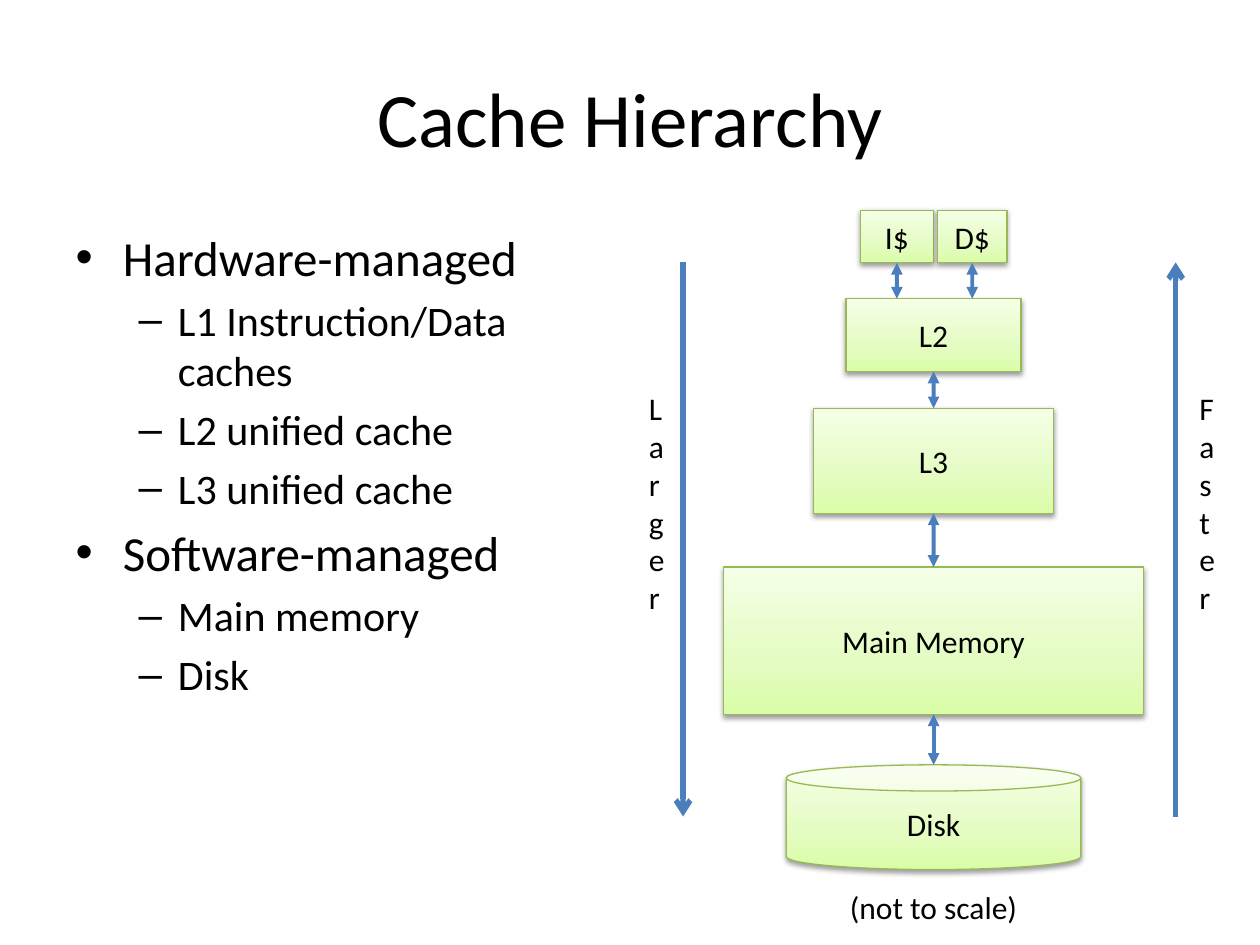
from copy import deepcopy

from lxml import etree
from pptx import Presentation
from pptx.dml.color import RGBColor
from pptx.enum import shapes, text
from pptx.oxml import ns
from pptx.util import Cm, Pt

# Content
TITLE = "Cache Hierarchy"
OUTLINE = [
    ("Hardware-managed", ["L1 Instruction/Data caches", "L2 unified cache", "L3 unified cache"]),
    ("Software-managed", ["Main memory", "Disk"]),
]
AXIS = 18.82  # centre line of the hierarchy, cm
RECT, CAN = shapes.MSO_SHAPE.RECTANGLE, shapes.MSO_SHAPE.CAN
# label: (outline, centre x, top, width, height), cm
LEVELS = {
    "I$": (RECT, 18.08, 4.24, 1.47, 1.06),
    "D$": (RECT, 19.6, 4.24, 1.4, 1.06),
    "L2": (RECT, AXIS, 6.02, 3.53, 1.47),
    "L3": (RECT, AXIS, 8.23, 4.85, 2.12),
    "Main Memory": (RECT, AXIS, 11.43, 8.46, 2.97),
    "Disk": (CAN, AXIS, 15.42, 5.94, 2.11),
}
LINKS = [("I$", "L2"), ("D$", "L2"), ("L2", "L3"), ("L3", "Main Memory"), ("Main Memory", "Disk")]
# label, label left, arrow x, end that carries the arrowhead
TRENDS = [("Larger", 12.83, 13.77, "tailEnd"), ("Faster", 23.93, 23.7, "headEnd")]
TREND_TOP, TREND_BOTTOM = 5.29, 16.46
NOTE = "(not to scale)"

# Style
FONT = "Calibri"
BLACK = RGBColor(0x00, 0x00, 0x00)
BLUE = RGBColor(0x4B, 0x7E, 0xBC)
GREEN = RGBColor(0x98, 0xB9, 0x55)
GRADIENT = [
    (0, RGBColor(0xDA, 0xFD, 0xA7)),
    (0.35, RGBColor(0xE4, 0xFC, 0xC2)),
    (1, RGBColor(0xF5, 0xFF, 0xE7)),
]


def place(part, left, top, width, height):
    part.left, part.top, part.width, part.height = map(Cm, (left, top, width, height))


def write(paragraph, words, size, align=None):
    run = paragraph.add_run()
    run.text = words
    run.font.name, run.font.size = FONT, Pt(size)
    run.font.color.rgb = BLACK
    if align is not None:
        paragraph.alignment = align


def add_child(parent, tag, **attributes):
    return etree.SubElement(parent, ns.qn(tag), attributes)


def style_level(level):
    fill = level.fill
    fill.gradient()
    fill.gradient_angle = 90
    first_stop = fill.gradient_stops[0]._gs
    first_stop.addnext(deepcopy(first_stop))
    for stop, (position, color) in zip(fill.gradient_stops, GRADIENT):
        stop.position, stop.color.rgb = position, color
    level.line.color.rgb, level.line.width = GREEN, Pt(0.75)

    level.shadow.inherit = False
    effects = level._element.spPr.find(ns.qn("a:effectLst"))
    shadow = add_child(effects, "a:outerShdw", blurRad=str(Pt(3.1)), dist=str(Pt(1.6)),
                       dir="5400000", rotWithShape="0")
    tint = add_child(shadow, "a:srgbClr", val=str(BLACK))
    add_child(tint, "a:alpha", val="38000")


def add_arrow(slide, x, top, bottom, width, heads):
    arrow = slide.shapes.add_connector(
        shapes.MSO_CONNECTOR.STRAIGHT, Cm(x), Cm(top), Cm(x), Cm(bottom))
    arrow.line.color.rgb, arrow.line.width = BLUE, Pt(width)
    for end, kind in heads:
        add_child(arrow.line._get_or_add_ln(), f"a:{end}", type=kind)
    add_child(arrow._element.spPr, "a:effectLst")
    return arrow


def add_label(slide, words, left, top, width, height, align=None):
    label = slide.shapes.add_textbox(Cm(left), Cm(top), Cm(width), Cm(height))
    label.text_frame.word_wrap = True
    label.text_frame.auto_size = text.MSO_AUTO_SIZE.SHAPE_TO_FIT_TEXT
    write(label.text_frame.paragraphs[0], words, 18, align)


def main():
    deck = Presentation()
    deck.slide_width, deck.slide_height = Cm(25.4), Cm(19.05)
    slide = deck.slides.add_slide(deck.slide_layouts[1])
    center = text.PP_ALIGN.CENTER

    # Title and outline
    title, body = slide.shapes.title, slide.placeholders[1]
    place(title, 1.27, 0.76, 22.86, 3.18)
    write(title.text_frame.paragraphs[0], TITLE, 44, center)
    place(body, 1.27, 4.45, 11.23, 12.57)
    rows = [(depth, words) for heading, points in OUTLINE
            for depth, words in [(0, heading)] + [(1, point) for point in points]]
    for index, (depth, words) in enumerate(rows):
        frame = body.text_frame
        paragraph = frame.add_paragraph() if index else frame.paragraphs[0]
        paragraph.level = depth
        write(paragraph, words, (28, 24)[depth])

    # Memory levels
    levels = {}
    for name, (outline, middle, top, width, height) in LEVELS.items():
        level = slide.shapes.add_shape(
            outline, Cm(middle - width / 2), Cm(top), Cm(width), Cm(height))
        style_level(level)
        level.text_frame.vertical_anchor = text.MSO_ANCHOR.MIDDLE
        write(level.text_frame.paragraphs[0], name, 18, center)
        levels[name] = level

    # Links between neighbouring levels
    for upper, lower in LINKS:
        _, x, top, _, height = LEVELS[upper]
        outline, lower_x, lower_top, _, _ = LEVELS[lower]
        link = add_arrow(slide, x, top + height, lower_top, 2.25,
                         [("headEnd", "triangle"), ("tailEnd", "triangle")])
        link.begin_connect(levels[upper], 2)
        if outline == RECT and x == lower_x:
            link.end_connect(levels[lower], 0)

    # Scale note and trend arrows
    add_label(slide, NOTE, AXIS - 2.43, 17.78, 4.86, 1.03, center)
    for words, left, x, end in TRENDS:
        add_arrow(slide, x, TREND_TOP, TREND_BOTTOM, 3, [(end, "arrow")])
        add_label(slide, words, left, 7.72, 0.64, 4.88)

    deck.save("out.pptx")


if __name__ == "__main__":
    main()
